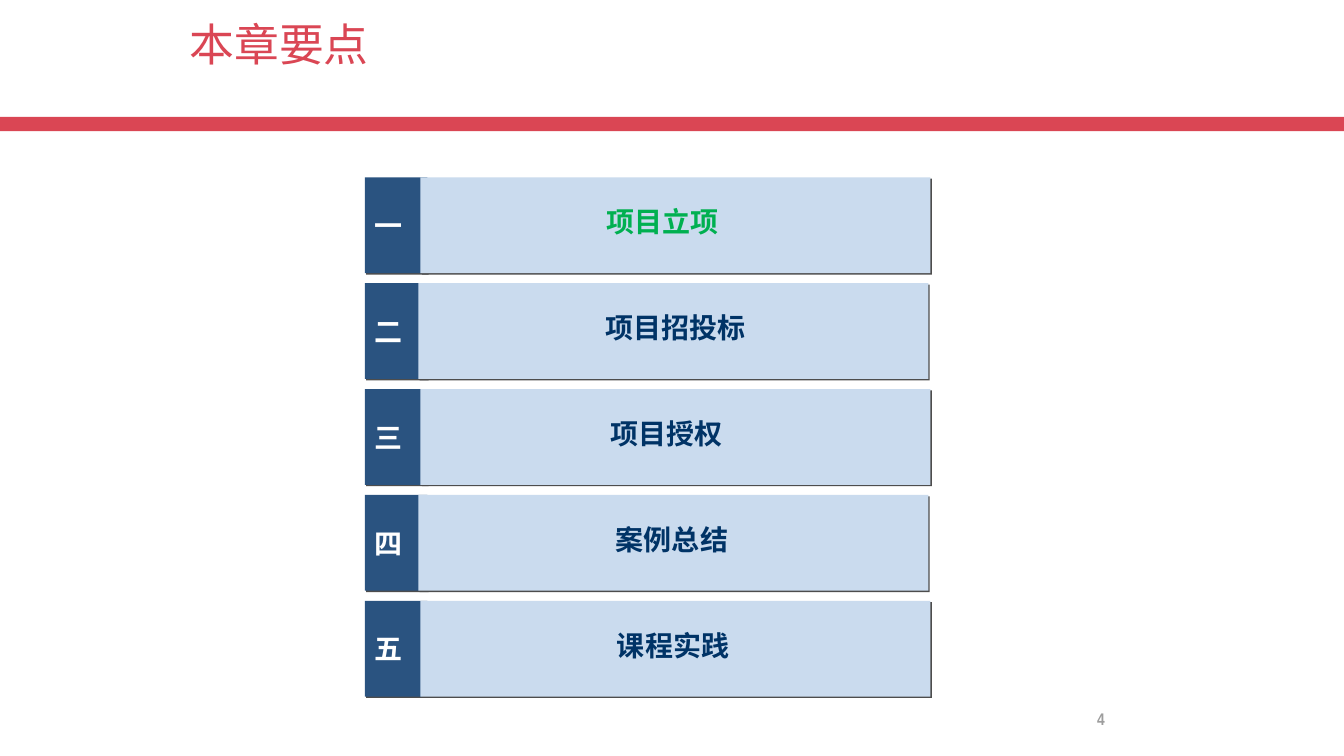
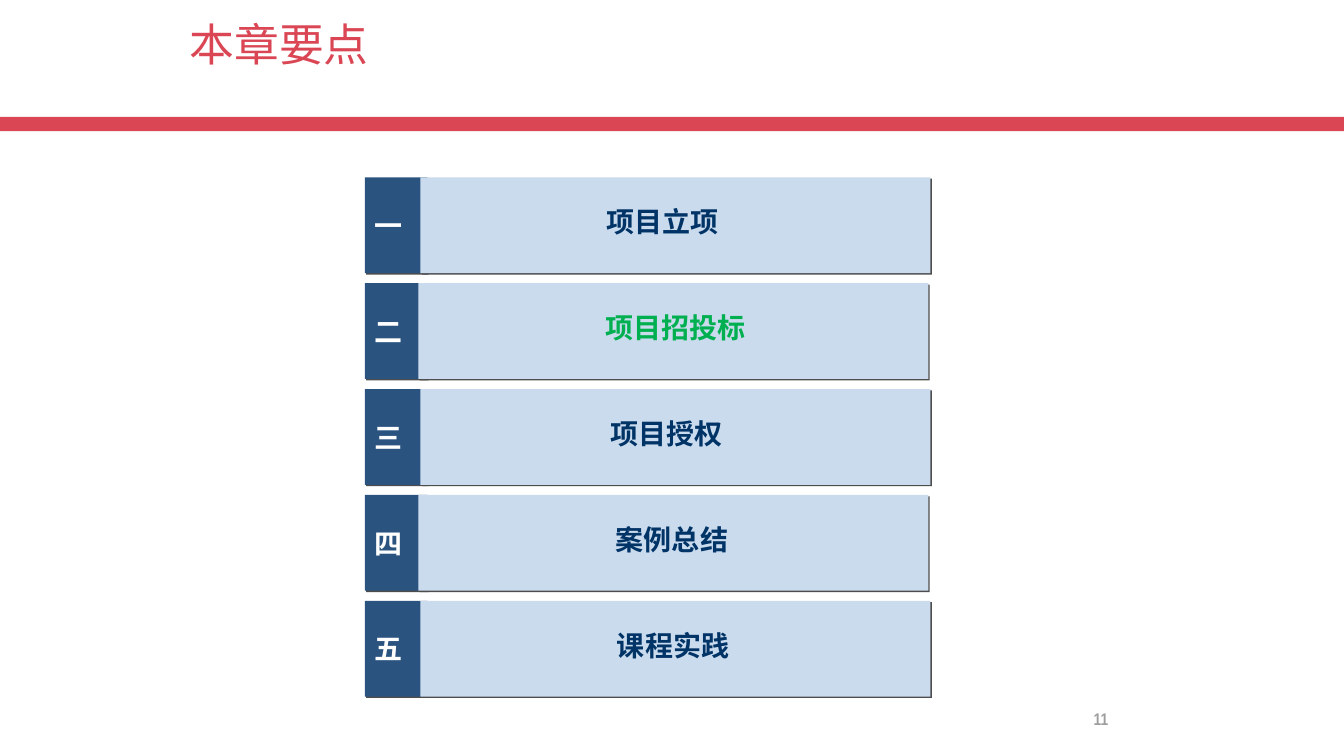
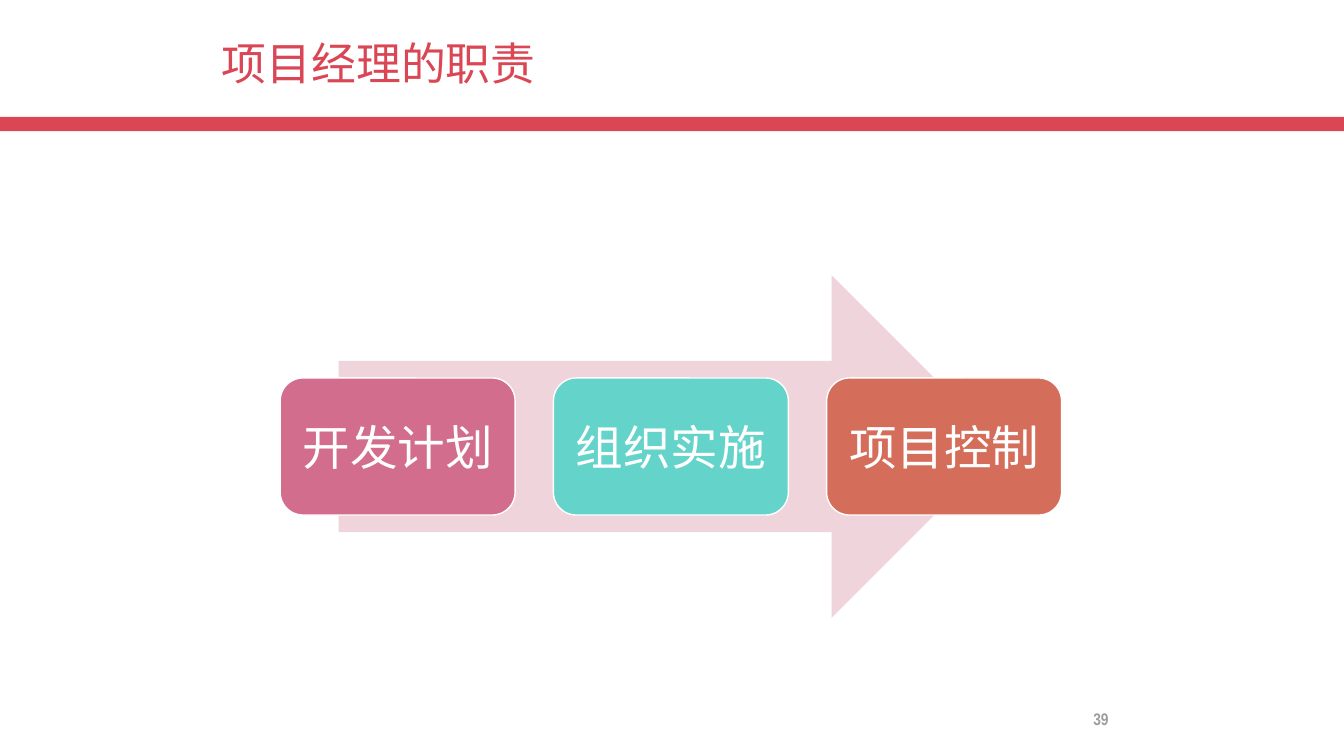
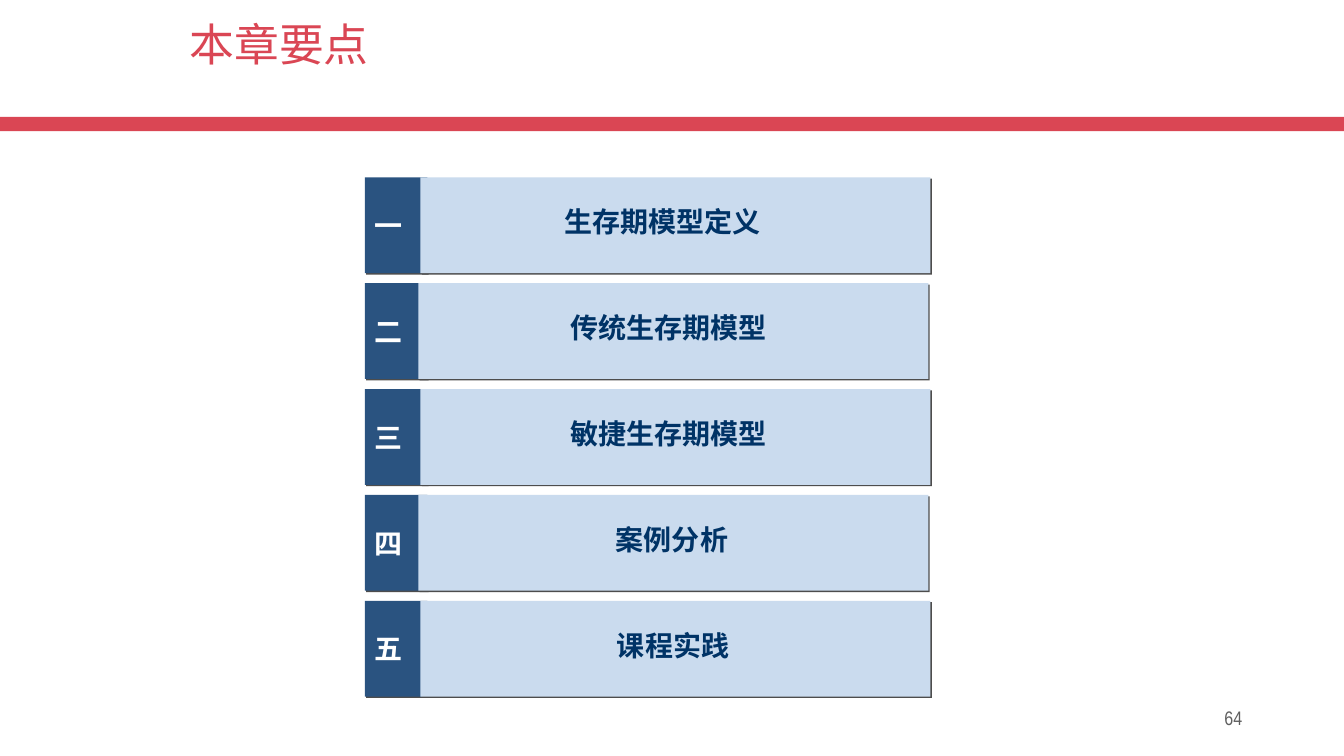
from dataclasses import dataclass
from typing import Optional

from lxml.etree import SubElement
from pptx import Presentation
from pptx.dml.color import RGBColor
from pptx.enum.shapes import MSO_SHAPE
from pptx.enum.text import MSO_ANCHOR, MSO_AUTO_SIZE, PP_ALIGN
from pptx.oxml.ns import qn
from pptx.presentation import Presentation as Deck
from pptx.shapes.autoshape import Shape
from pptx.slide import Slide
from pptx.util import Inches, Pt

SLIDE_WIDTH = Inches(13.33)
SLIDE_HEIGHT = Inches(7.5)

RED = RGBColor(0xDA, 0x46, 0x54)
WHITE = RGBColor(0xFF, 0xFF, 0xFF)
NAVY = RGBColor(0x00, 0x33, 0x66)
GREEN = RGBColor(0x00, 0xB0, 0x50)
BADGE_BLUE = RGBColor(0x2A, 0x53, 0x80)
BAR_BLUE = RGBColor(0xCA, 0xDB, 0xEE)
PAGE_GRAY = RGBColor(0x9D, 0x9D, 0x9D)
DARK_GRAY = RGBColor(0x5F, 0x5F, 0x5F)
ARROW_PINK = RGBColor(0xEF, 0xD4, 0xDB)
ROSE = RGBColor(0xD3, 0x6D, 0x8D)
TEAL = RGBColor(0x64, 0xD3, 0xCA)
CORAL = RGBColor(0xD4, 0x6D, 0x5A)
SHADOW_GRAY = RGBColor(0x4D, 0x4D, 0x4D)

CHINESE_FONT = "Noto Sans CJK SC"
STEP_FONT = "Noto Sans CJK JP"
PAGE_FONT = "Arial Narrow"

NUMERALS = "一二三四五"
ROW_TOP = 23.47
ROW_PITCH = 14
ROW_HEIGHT = 12.67
BAR_LEFTS = (31.28, 31.13)
LABEL_WIDTH = 36
STEP_LEFT = 20.85
STEP_PITCH = 20.33


@dataclass(frozen=True)
class Area:
    """Left, top, width and height in percent of the slide's size."""

    left: float
    top: float
    width: float
    height: float

    def lengths(self) -> tuple[int, int, int, int]:
        return (
            round(SLIDE_WIDTH * self.left / 100),
            round(SLIDE_HEIGHT * self.top / 100),
            round(SLIDE_WIDTH * self.width / 100),
            round(SLIDE_HEIGHT * self.height / 100),
        )


@dataclass(frozen=True)
class TextStyle:
    font: str
    size: float
    color: RGBColor
    bold: bool = False
    alignment: PP_ALIGN = PP_ALIGN.CENTER
    anchor: MSO_ANCHOR = MSO_ANCHOR.MIDDLE
    line_spacing: float = 1.0
    wrap: bool = True


@dataclass(frozen=True)
class Topic:
    text: str
    center: float


@dataclass(frozen=True)
class Step:
    text: str
    color: RGBColor


BAND = Area(0, 15.47, 100, 1.87)
AGENDA_TITLE = Area(13.35, 2.4, 63.77, 16.67)
DUTIES_TITLE = Area(15.75, 4.8, 63.77, 16.67)
PAGE_NUMBER = Area(70.67, 92.67, 22.5, 5.33)
ARROW = Area(25.2, 36.4, 49.43, 45.33)

TITLE_STYLE = TextStyle(CHINESE_FONT, 32, RED, alignment=PP_ALIGN.LEFT,
                        anchor=MSO_ANCHOR.TOP, line_spacing=0.9)
PAGE_STYLE = TextStyle(PAGE_FONT, 12, PAGE_GRAY, bold=True, line_spacing=0.8)
LAST_PAGE_STYLE = TextStyle(PAGE_FONT, 14, DARK_GRAY, alignment=PP_ALIGN.RIGHT,
                            anchor=MSO_ANCHOR.TOP)
BADGE_STYLE = TextStyle(CHINESE_FONT, 20, WHITE, bold=True, alignment=PP_ALIGN.LEFT)
LABEL_STYLE = TextStyle(CHINESE_FONT, 20, NAVY, bold=True, wrap=False)
CURRENT_STYLE = TextStyle(CHINESE_FONT, 20, GREEN, bold=True, wrap=False)
STEP_STYLE = TextStyle(STEP_FONT, 34, WHITE)

PROJECT_TOPICS = (
    Topic("项目立项", 49.29),
    Topic("项目招投标", 50.25),
    Topic("项目授权", 49.59),
    Topic("案例总结", 50),
    Topic("课程实践", 50.08),
)
LIFECYCLE_TOPICS = (
    Topic("生存期模型定义", 49.29),
    Topic("传统生存期模型", 49.73),
    Topic("敏捷生存期模型", 49.73),
    Topic("案例分析", 50),
    Topic("课程实践", 50.08),
)
STEPS = (Step("开发计划", ROSE), Step("组织实施", TEAL), Step("项目控制", CORAL))


def write_text(shape: Shape, text: str, style: TextStyle) -> None:
    frame = shape.text_frame
    frame.text = text
    frame.auto_size = MSO_AUTO_SIZE.NONE
    frame.word_wrap = style.wrap
    frame.vertical_anchor = style.anchor
    paragraph = frame.paragraphs[0]
    paragraph.alignment = style.alignment
    paragraph.line_spacing = style.line_spacing
    font = paragraph.font
    font.name = style.font
    font.size = Pt(style.size)
    font.bold = style.bold
    font.color.rgb = style.color
    for properties in shape.element.iter(qn("a:defRPr")):
        SubElement(properties, qn("a:ea"), typeface=style.font)


def add_filled(slide: Slide, kind: MSO_SHAPE, area: Area, color: RGBColor,
               outline: Optional[RGBColor] = None) -> Shape:
    shape = slide.shapes.add_shape(kind, *area.lengths())
    shape.shadow.inherit = False
    shape.fill.solid()
    shape.fill.fore_color.rgb = color
    if outline is None:
        shape.line.fill.background()
    else:
        shape.line.color.rgb = outline
        shape.line.width = Pt(1)
    return shape


def add_shadowed(slide: Slide, area: Area, color: RGBColor) -> Shape:
    shape = add_filled(slide, MSO_SHAPE.RECTANGLE, area, color)
    effects = shape.element.spPr.find(qn("a:effectLst"))
    shadow = SubElement(effects, qn("a:outerShdw"), blurRad="0", dist=str(Pt(1.4)),
                        dir="2700000", algn="ctr", rotWithShape="0")
    SubElement(shadow, qn("a:srgbClr"), val=str(SHADOW_GRAY))
    return shape


def add_text(slide: Slide, area: Area, text: str, style: TextStyle) -> None:
    write_text(slide.shapes.add_textbox(*area.lengths()), text, style)


def add_titled_slide(presentation: Deck, title: str, title_area: Area, page: str,
                     page_style: TextStyle = PAGE_STYLE) -> Slide:
    slide = presentation.slides.add_slide(presentation.slide_layouts[5])
    heading = slide.shapes.title
    heading.left, heading.top, heading.width, heading.height = title_area.lengths()
    write_text(heading, title, TITLE_STYLE)
    add_text(slide, PAGE_NUMBER, page, page_style)
    return slide


def move_to_master(presentation: Deck, shape: Shape) -> None:
    presentation.slide_master.element.cSld.spTree.insert(2, shape.element)


def add_agenda(slide: Slide, topics: tuple[Topic, ...], current: Optional[int] = None) -> None:
    for row, (numeral, topic) in enumerate(zip(NUMERALS, topics)):
        top = ROW_TOP + row * ROW_PITCH
        badge = add_shadowed(slide, Area(27.15, top, 4.65, ROW_HEIGHT), BADGE_BLUE)
        write_text(badge, numeral, BADGE_STYLE)
        add_shadowed(slide, Area(BAR_LEFTS[row % 2], top, 37.95, ROW_HEIGHT), BAR_BLUE)
        label = Area(topic.center - LABEL_WIDTH / 2, top + 1.33, LABEL_WIDTH, 9.07)
        add_text(slide, label, topic.text, CURRENT_STYLE if row == current else LABEL_STYLE)


def add_process(slide: Slide) -> None:
    add_filled(slide, MSO_SHAPE.RIGHT_ARROW, ARROW, ARROW_PINK)
    for column, step in enumerate(STEPS):
        area = Area(STEP_LEFT + column * STEP_PITCH, 50, 17.48, 18.13)
        box = add_filled(slide, MSO_SHAPE.ROUNDED_RECTANGLE, area, step.color, WHITE)
        write_text(box, step.text, STEP_STYLE)


def main() -> None:
    presentation = Presentation()
    presentation.slide_width = SLIDE_WIDTH
    presentation.slide_height = SLIDE_HEIGHT

    initiation = add_titled_slide(presentation, "本章要点", AGENDA_TITLE, "4")
    move_to_master(presentation, add_filled(initiation, MSO_SHAPE.RECTANGLE, BAND, RED))
    add_agenda(initiation, PROJECT_TOPICS, current=0)

    bidding = add_titled_slide(presentation, "本章要点", AGENDA_TITLE, "11")
    add_agenda(bidding, PROJECT_TOPICS, current=1)

    duties = add_titled_slide(presentation, "项目经理的职责", DUTIES_TITLE, "39")
    add_process(duties)

    lifecycle = add_titled_slide(presentation, "本章要点", AGENDA_TITLE, "64", LAST_PAGE_STYLE)
    add_agenda(lifecycle, LIFECYCLE_TOPICS)

    presentation.save("out.pptx")


if __name__ == "__main__":
    main()
